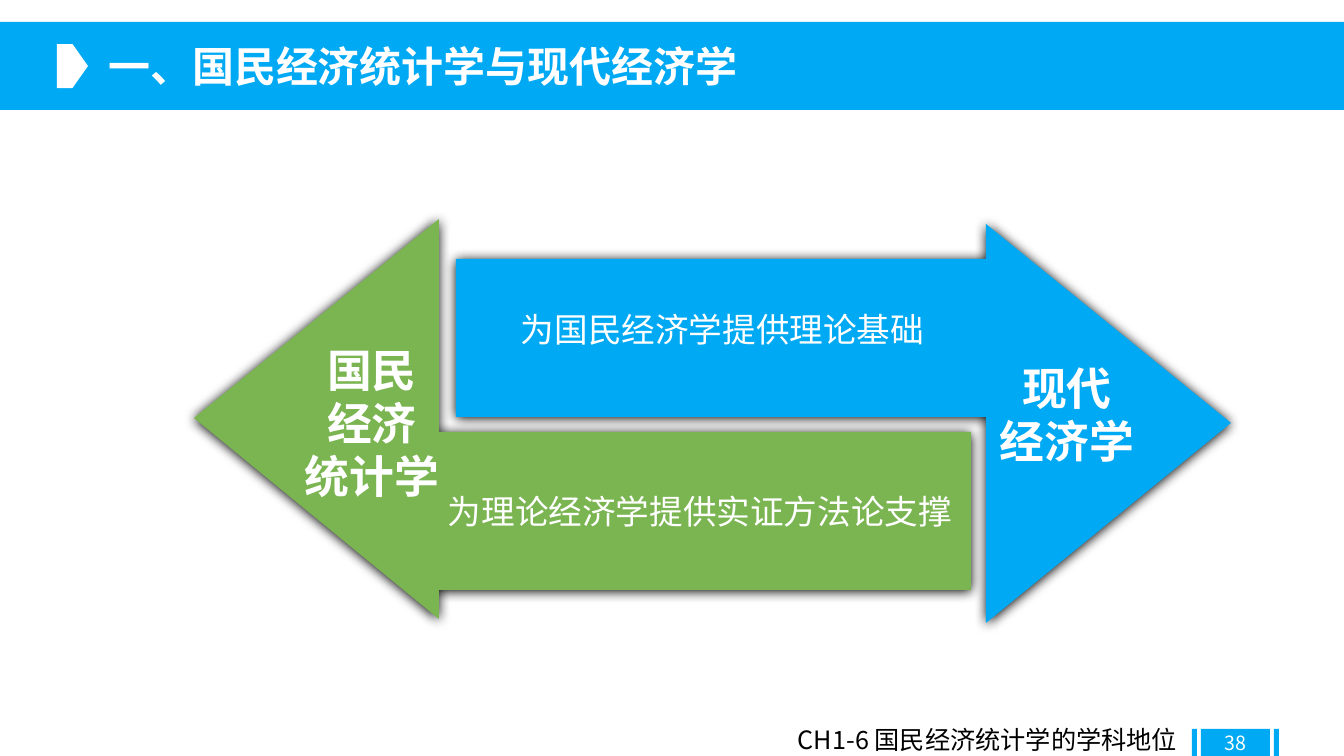
from lxml.etree import SubElement
from pptx import Presentation
from pptx.dml.color import RGBColor
from pptx.enum.shapes import MSO_SHAPE
from pptx.enum.text import MSO_ANCHOR, MSO_AUTO_SIZE, PP_ALIGN
from pptx.oxml.ns import qn
from pptx.util import Emu, Inches, Pt

SLIDE_W, SLIDE_H = 1344, 756
PX = Inches(40 / 3) / SLIDE_W


def px(*values):
    return [Emu(round(v * PX)) for v in values]


def rgb(code):
    return RGBColor.from_string(code)


class Slide:
    BLUE, GREEN, WHITE, BLACK = "00A9F3", "7BB552", "FFFFFF", "000000"
    SC, JP = "Noto Sans CJK SC", "Noto Sans CJK JP"

    def __init__(self, prs):
        self.s = prs.slides.add_slide(prs.slide_layouts[5])

    def paint(self, sp, fill):
        sp.shadow.inherit = False
        sp.fill.solid()
        sp.fill.fore_color.rgb = rgb(fill)
        sp.line.fill.background()

    def shape(self, kind, box, fill):
        self.paint(self.s.shapes.add_shape(kind, *px(*box)), fill)

    def arrow(self, points, fill):
        fb = self.s.shapes.build_freeform(*points[0], scale=PX)
        fb.add_line_segments(points[1:], close=True)
        sp = fb.convert_to_shape()
        self.paint(sp, fill)
        effects = sp._element.spPr.find(qn("a:effectLst"))
        shadow = SubElement(effects, qn("a:outerShdw"), blurRad=str(Pt(8.5)),
                            dist=str(Pt(1)), dir="5400000", algn="ctr", rotWithShape="0")
        SubElement(shadow, qn("a:srgbClr"), val=self.BLACK)

    def style_text(self, sp, text, size, color, font, bold, align, pitch):
        tf = sp.text_frame
        tf.text = text
        tf.word_wrap = True
        tf.auto_size = MSO_AUTO_SIZE.NONE
        tf.vertical_anchor = MSO_ANCHOR.MIDDLE
        tf.margin_left = tf.margin_right = Inches(0.1)
        tf.margin_top = tf.margin_bottom = 0
        for p in tf.paragraphs:
            p.alignment = align
            if pitch:
                p.line_spacing = Pt(pitch)
            for r in p.runs:
                r.font.name = font
                r.font.size = Pt(size)
                r.font.bold = bold
                r.font.color.rgb = rgb(color)
                SubElement(r._r.get_or_add_rPr(), qn("a:ea"), typeface=font)

    def text(self, box, text, size, color=WHITE, font=SC, bold=False,
             align=PP_ALIGN.LEFT, pitch=None):
        sp = self.s.shapes.add_textbox(*px(*box))
        self.style_text(sp, text, size, color, font, bold, align, pitch)

    def label(self, box, text):
        self.text(box, text, 32, font=self.JP, bold=True, align=PP_ALIGN.CENTER, pitch=38)

    def title(self, box, text):
        sp = self.s.shapes.title
        sp.left, sp.top, sp.width, sp.height = px(*box)
        self.style_text(sp, text, 30, self.WHITE, self.SC, True, PP_ALIGN.LEFT, None)
        self.s.shapes._spTree.append(sp._element)


def main():
    prs = Presentation()
    prs.slide_width, prs.slide_height = px(SLIDE_W, SLIDE_H)
    s = Slide(prs)

    s.shape(MSO_SHAPE.RECTANGLE, (0, 22, SLIDE_W, 88), s.BLUE)
    for left, width in ((1192, 5), (1201, 69), (1274, 5)):
        s.shape(MSO_SHAPE.RECTANGLE, (left, 729, width, 27), s.BLUE)
    s.title((98, 35, 660, 62), "一、国民经济统计学与现代经济学")
    s.shape(MSO_SHAPE.PENTAGON, (57, 44, 31, 44), s.WHITE)
    s.text((1201, 723, 69, 40), "38", 14, align=PP_ALIGN.CENTER)

    s.arrow([(439, 219), (439, 432), (971, 432), (971, 590),
             (439, 590), (439, 619), (194, 418)], s.GREEN)
    s.label((291, 336, 162, 174), "国民\n经济\n统计学")
    s.arrow([(986, 224), (1231, 423), (986, 623), (986, 417),
             (456, 417), (456, 259), (986, 259)], s.BLUE)
    s.label((989, 355, 156, 119), "现代\n经济学")

    s.text((438, 486, 530, 50), "为理论经济学提供实证方法论支撑", 24)
    s.text((511, 304, 428, 50), "为国民经济学提供理论基础", 24)
    s.text((788, 719, 410, 40), "CH1-6 国民经济统计学的学科地位", 18, s.BLACK)

    prs.save("out.pptx")


if __name__ == "__main__":
    main()
